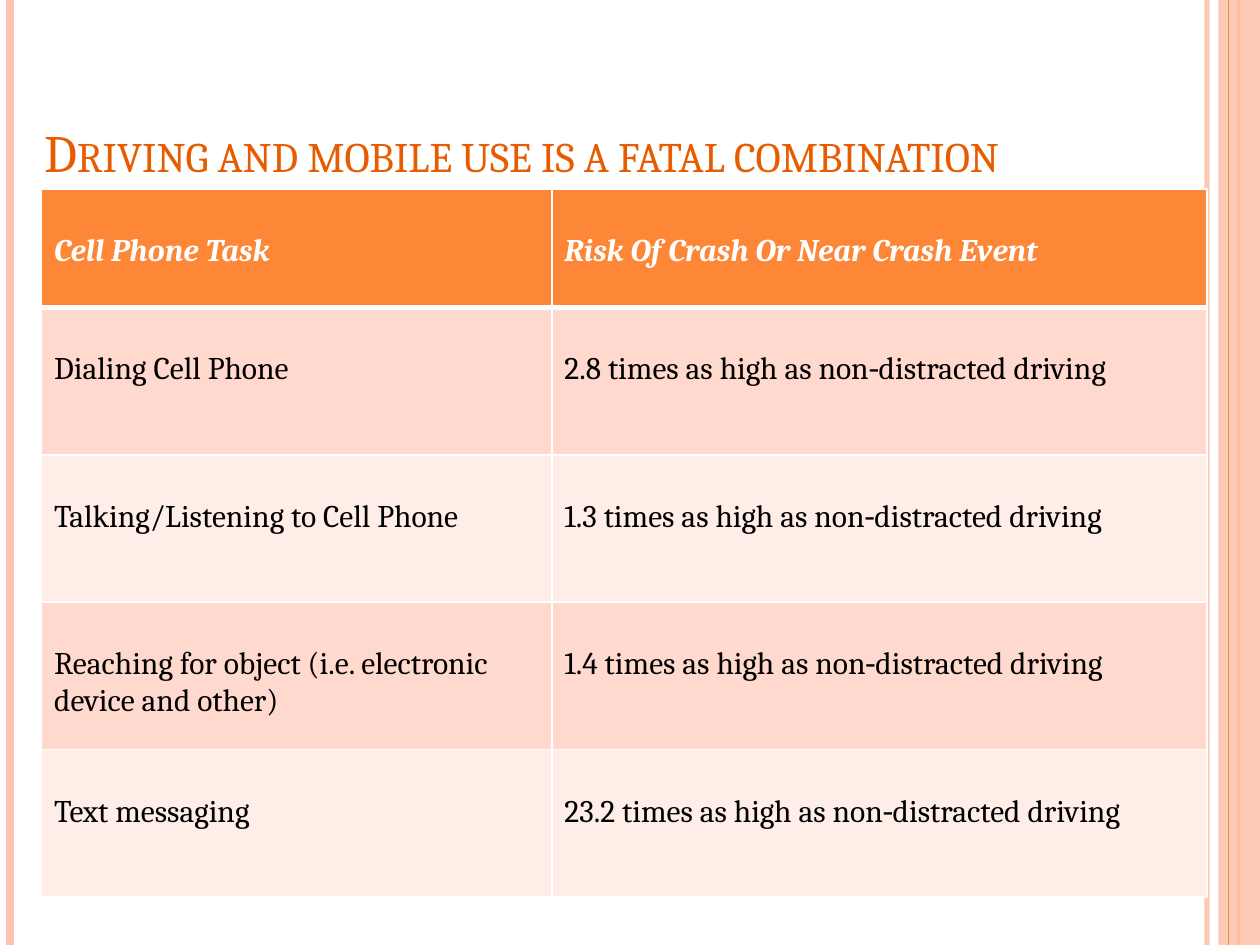
import pptx
import pptx.util
import pptx.dml.color
import pptx.enum.shapes
import pptx.enum.text
import pptx.oxml.ns
import lxml.etree

THEME = {
    "font": "Cambria", "title_size": 30, "cell_size": 18,
    "title": "E75C01", "accent": "FE8637", "pale": "FEC3AE",
    "header_text": "FFFFFF", "body_text": "000000",
    "border": "FFFFFF", "bands": ("FFD9CE", "FFEDE8"),
}
Inches, Pt = pptx.util.Inches, pptx.util.Pt
RGB = pptx.dml.color.RGBColor.from_string
qn = pptx.oxml.ns.qn
sub = lxml.etree.SubElement


def set_alpha(s, percent):
    """Set the opacity of the shape's only solid colour."""
    color = next(s._element.spPr.iter(qn("a:srgbClr")))
    sub(color, qn("a:alpha"), val=str(percent * 1000))


def add_run(p, text, size, color):
    r = p.add_run()
    r.text = text
    r.font.name = THEME["font"]
    r.font.size = Pt(size)
    r.font.color.rgb = RGB(color)
    return r


prs = pptx.Presentation()
prs.slide_width, prs.slide_height = Inches(10), Inches(7.5)
W, H = prs.slide_width, prs.slide_height
slide = prs.slides.add_slide(prs.slide_layouts[5])

# Side stripes: x as a share of the slide width, colour, width, opacity
band_left = 0.967
stripes = [
    (0.958, "pale", 3, 93),
    (0.008, "pale", 4.5, 100),
    (0.983, "accent", 1.5, 100),
    (0.975, "accent", 0.75, 100),
]
for i, (share, color, width, opacity) in enumerate(stripes):
    if i == len(stripes) - 1:  # the band lies under the last stripe only
        s = slide.shapes.add_shape(
            pptx.enum.shapes.MSO_SHAPE.RECTANGLE,
            int(W * band_left), 0, W - int(W * band_left), H)
        s.shadow.inherit = False
        s.fill.solid()
        s.fill.fore_color.rgb = RGB(THEME["pale"])
        s.line.fill.background()
        set_alpha(s, 87)
    x = int(W * share)
    s = slide.shapes.add_connector(
        pptx.enum.shapes.MSO_CONNECTOR.STRAIGHT, x, 0, x, H)
    s.line.color.rgb = RGB(THEME[color])
    s.line.width = Pt(width)
    if opacity < 100:
        set_alpha(s, opacity)
    sub(s._element.spPr, qn("a:effectLst"))

# Title
title = slide.shapes.title
title.left, title.top = int(W * 0.025), int(H * 0.056)
title.width, title.height = int(W * 0.945), int(H * 0.144)
tf = title.text_frame
tf.word_wrap = True
tf.auto_size = pptx.enum.text.MSO_AUTO_SIZE.NONE
tf.vertical_anchor = pptx.enum.text.MSO_ANCHOR.BOTTOM
p = tf.paragraphs[0]
p.alignment = pptx.enum.text.PP_ALIGN.LEFT
r = add_run(p, "Driving and mobile use is a fatal combination",
            THEME["title_size"], THEME["title"])
r.font._element.set("cap", "small")

# Risk table
risk = "{} times as high as non‐distracted driving"
rows = [
    ("Cell Phone Task", "Risk Of Crash Or Near Crash Event"),
    ("Dialing Cell Phone", risk.format("2.8")),
    ("Talking/Listening to Cell Phone", risk.format("1.3")),
    ("Reaching for object (i.e. electronic device and other)",
     risk.format("1.4")),
    ("Text messaging", risk.format("23.2")),
]
col_widths = [Inches(4.05), Inches(5.2)]
row_heights = [Inches(0.94)] + [Inches(1.17)] * (len(rows) - 1)
table = slide.shapes.add_table(
    len(rows), len(col_widths), Inches(0.33), int(H * 0.2),
    sum(col_widths), sum(row_heights)).table
for column, width in zip(table.columns, col_widths):
    column.width = width

for i, texts in enumerate(rows):
    header = i == 0
    table.rows[i].height = row_heights[i]
    for j, text in enumerate(texts):
        cell = table.cell(i, j)
        cell.margin_top = Inches(0.35)
        tcPr = cell._tc.get_or_add_tcPr()
        for side in ("L", "R", "T", "B"):
            thick = (header and side == "B") or (i == 1 and side == "T")
            ln = sub(tcPr, qn("a:ln" + side), w=str(Pt(3 if thick else 1)))
            sub(sub(ln, qn("a:solidFill")), qn("a:srgbClr"),
                val=THEME["border"])
        cell.fill.solid()
        cell.fill.fore_color.rgb = RGB(
            THEME["accent"] if header else THEME["bands"][(i - 1) % 2])
        r = add_run(cell.text_frame.paragraphs[0], text, THEME["cell_size"],
                    THEME["header_text" if header else "body_text"])
        r.font.bold = r.font.italic = header

prs.save("out.pptx")
